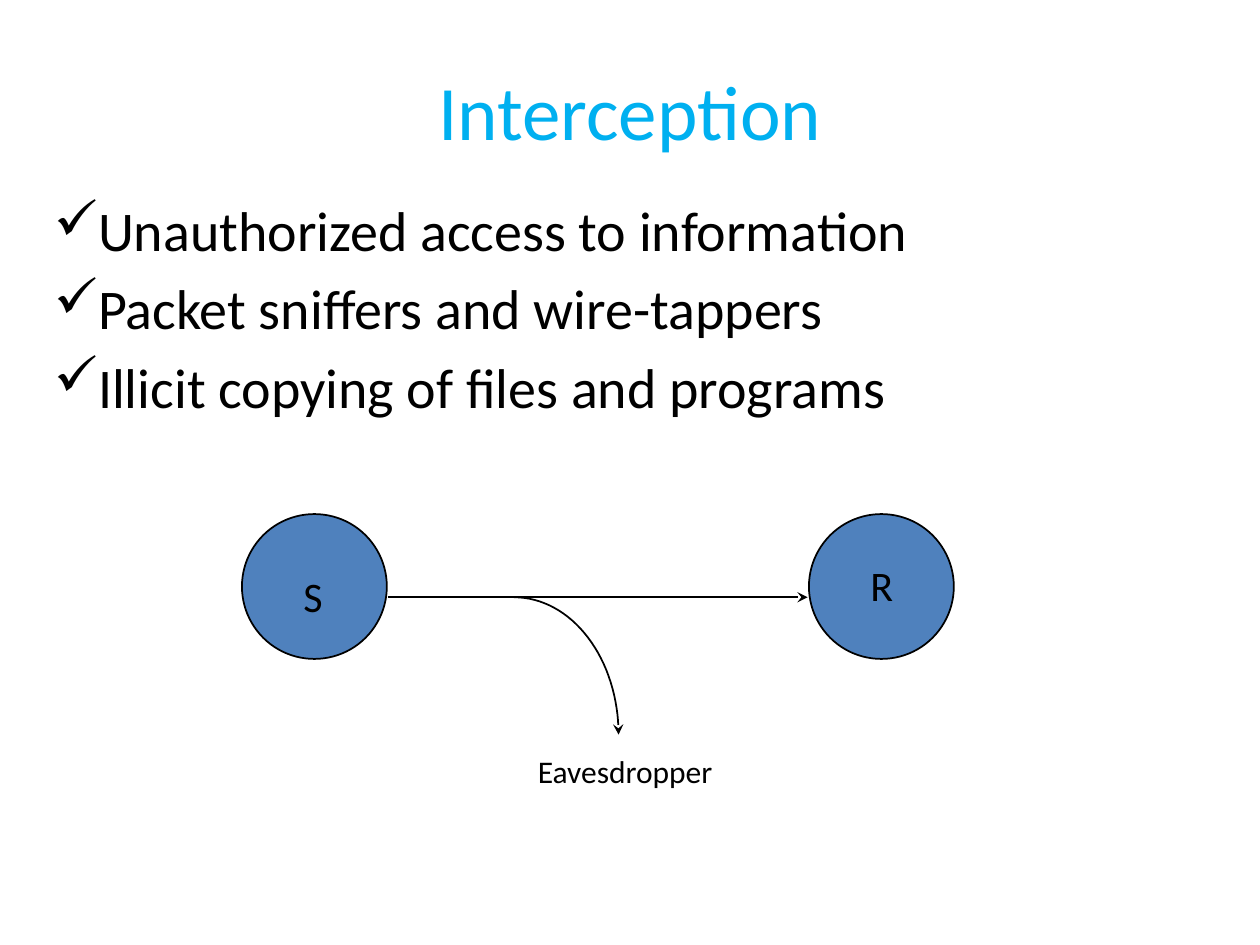
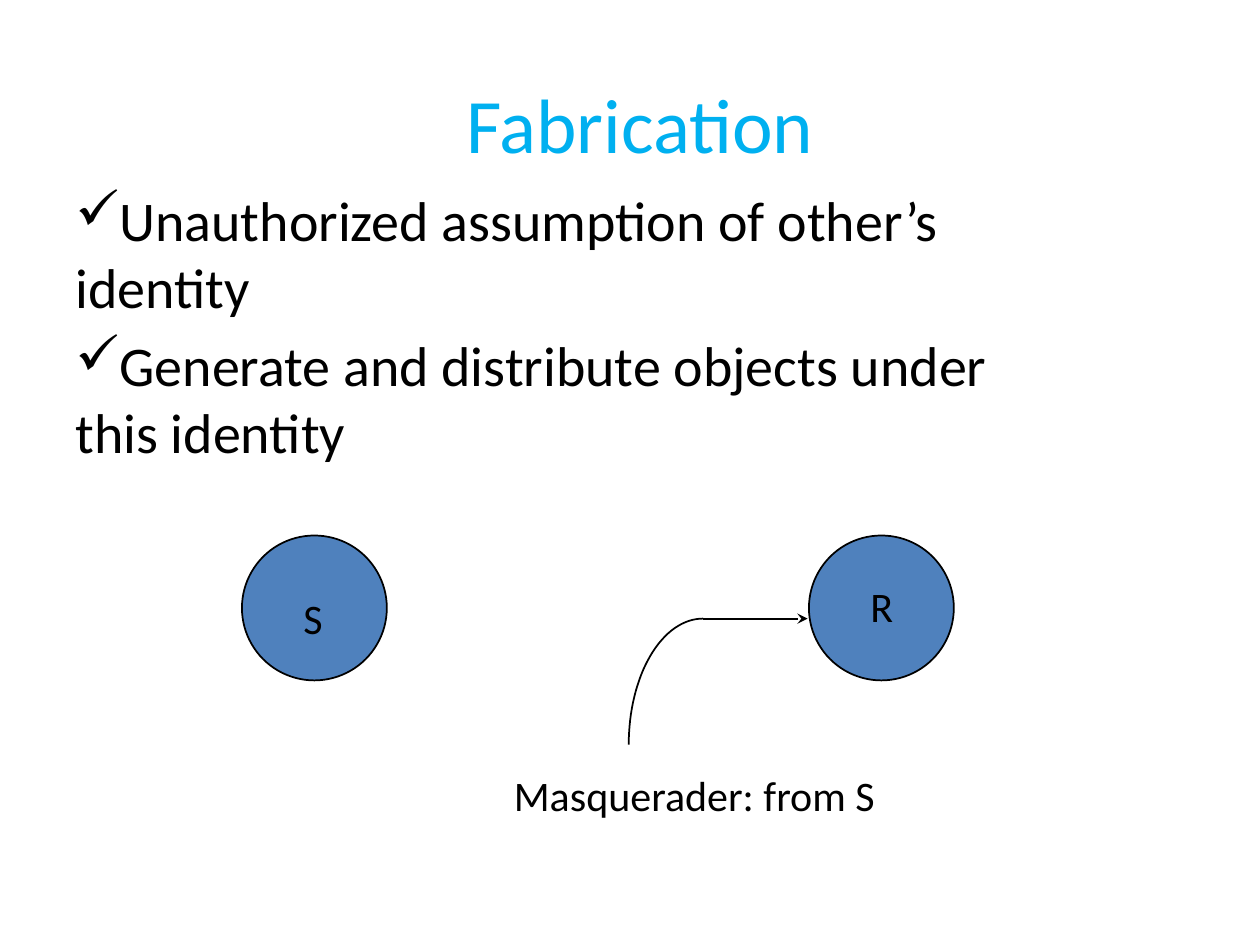
from dataclasses import dataclass
from math import cos, radians, sin

from lxml import etree
from pptx import Presentation
from pptx.dml.color import RGBColor
from pptx.enum.shapes import MSO_CONNECTOR, MSO_SHAPE
from pptx.enum.text import MSO_ANCHOR, PP_ALIGN
from pptx.oxml.ns import qn
from pptx.util import Inches, Pt


@dataclass(frozen=True)
class Theme:
    font: str = "Calibri"
    title: RGBColor = RGBColor(0x00, 0xB0, 0xF0)
    ink: RGBColor = RGBColor(0x00, 0x00, 0x00)
    node: RGBColor = RGBColor(0x4F, 0x81, 0xBD)
    title_size: int = 44
    body_size: int = 32
    label_size: int = 24
    small_size: int = 18
    line_width: int = 1


THEME = Theme()

# Boxes are left, top, width, height in inches.
# Arcs are centre, radii, start and end angle (counterclockwise from east), arrowhead.
SLIDES = [
    dict(
        title="Interception", title_box=(0.75, 0.33, 8.5, 1.08),
        points=["Unauthorized access to information",
                "Packet sniffers and wire-tappers",
                "Illicit copying of files and programs"],
        points_box=(0.33, 1.5, 8.42, 2),
        diagram_top=4.08, arrow_start=3.08,
        arc=dict(centre=(4.08, 5.83), radii=(0.83, 1.09), angles=(90, 0), arrow=True),
        attacker="Eavesdropper", attacker_box=(4.17, 5.92, 1.6, 0.4),
        attacker_size=THEME.small_size, attacker_wrap=False,
    ),
    dict(
        title="Fabrication", title_box=(0.83, 0.17, 8.5, 1.61),
        points=["Unauthorized assumption of other’s identity",
                "Generate and distribute objects under this identity"],
        points_box=(0.5, 1.42, 8, 2.25),
        diagram_top=4.25, arrow_start=5.58,
        arc=dict(centre=(5.58, 5.91), radii=(0.59, 1), angles=(180, 90), arrow=False),
        attacker="Masquerader: from S", attacker_box=(3.98, 6.06, 3.44, 0.51),
        attacker_size=THEME.label_size, attacker_wrap=True,
    ),
]

# Name, circle left, then label left, drop below the circle top, and width
NODES = [("S", 1.92, 2.31, 0.4, 0.39), ("R", 6.42, 6.81, 0.31, 0.42)]
NODE_SIZE = 1.15
LABEL_HEIGHT = 0.5
ARROW_DROP = 0.66
ARROW_END = 6.41
ARC_STEPS = 32


def inches(values):
    return [Inches(v) for v in values]


def style_runs(tf, size, color=THEME.ink):
    for p in tf.paragraphs:
        for r in p.runs:
            r.font.name = THEME.font
            r.font.size = Pt(size)
            r.font.color.rgb = color


def add_text(s, text, box, size, wrap=False):
    tf = s.shapes.add_textbox(*inches(box)).text_frame
    tf.text = text
    tf.word_wrap = wrap
    style_runs(tf, size)
    return tf


def add_title(s, text, box):
    sp = s.shapes.title
    sp.left, sp.top, sp.width, sp.height = inches(box)
    tf = sp.text_frame
    tf.text = text
    tf.vertical_anchor = MSO_ANCHOR.MIDDLE
    tf.paragraphs[0].alignment = PP_ALIGN.CENTER
    style_runs(tf, THEME.title_size, THEME.title)


def add_points(s, points, box):
    tf = add_text(s, "\n".join(points), box, THEME.body_size, wrap=True)
    for p in tf.paragraphs:
        p.space_before = Pt(0.2 * THEME.body_size)
        pPr = p._p.get_or_add_pPr()
        pPr.set("marL", "0")
        pPr.set("indent", "0")
        etree.SubElement(pPr, qn("a:buChar")).set("char", "✓")


def style_line(sp, arrow=False):
    sp.line.color.rgb = THEME.ink
    sp.line.width = Pt(THEME.line_width)
    if arrow:
        ln = sp.line._get_or_add_ln()
        etree.SubElement(ln, qn("a:tailEnd")).set("type", "stealth")


def add_nodes(s, top):
    for name, left, label_left, label_drop, label_width in NODES:
        sp = s.shapes.add_shape(
            MSO_SHAPE.OVAL, *inches((left, top, NODE_SIZE, NODE_SIZE)))
        sp.shadow.inherit = False
        sp.fill.solid()
        sp.fill.fore_color.rgb = THEME.node
        style_line(sp)
        add_text(s, name, (label_left, top + label_drop, label_width, LABEL_HEIGHT),
                 THEME.label_size)


def add_arrow(s, start, y):
    cxn = s.shapes.add_connector(
        MSO_CONNECTOR.STRAIGHT, *inches((start, y, ARROW_END, y)))
    style_line(cxn, arrow=True)
    etree.SubElement(cxn._element.spPr, qn("a:effectLst"))


def add_arc(s, centre, radii, angles, arrow):
    """Draw an open elliptical arc through evenly spaced angles."""
    (cx, cy), (rx, ry), (first, last) = centre, radii, angles
    turns = [radians(first + (last - first) * i / ARC_STEPS)
             for i in range(ARC_STEPS + 1)]
    start, *rest = [inches((cx + rx * cos(t), cy - ry * sin(t))) for t in turns]
    builder = s.shapes.build_freeform(*start)
    builder.add_line_segments(rest, close=False)
    sp = builder.convert_to_shape()
    sp.shadow.inherit = False
    sp.fill.background()
    style_line(sp, arrow)


def build_slide(prs, spec):
    s = prs.slides.add_slide(prs.slide_layouts[5])
    top = spec["diagram_top"]
    add_title(s, spec["title"], spec["title_box"])
    add_points(s, spec["points"], spec["points_box"])
    add_nodes(s, top)
    add_arrow(s, spec["arrow_start"], top + ARROW_DROP)
    add_arc(s, **spec["arc"])
    add_text(s, spec["attacker"], spec["attacker_box"],
             spec["attacker_size"], spec["attacker_wrap"])


def main():
    prs = Presentation()
    prs.slide_width, prs.slide_height = inches((10, 7.5))
    for spec in SLIDES:
        build_slide(prs, spec)
    prs.save("out.pptx")


if __name__ == "__main__":
    main()
